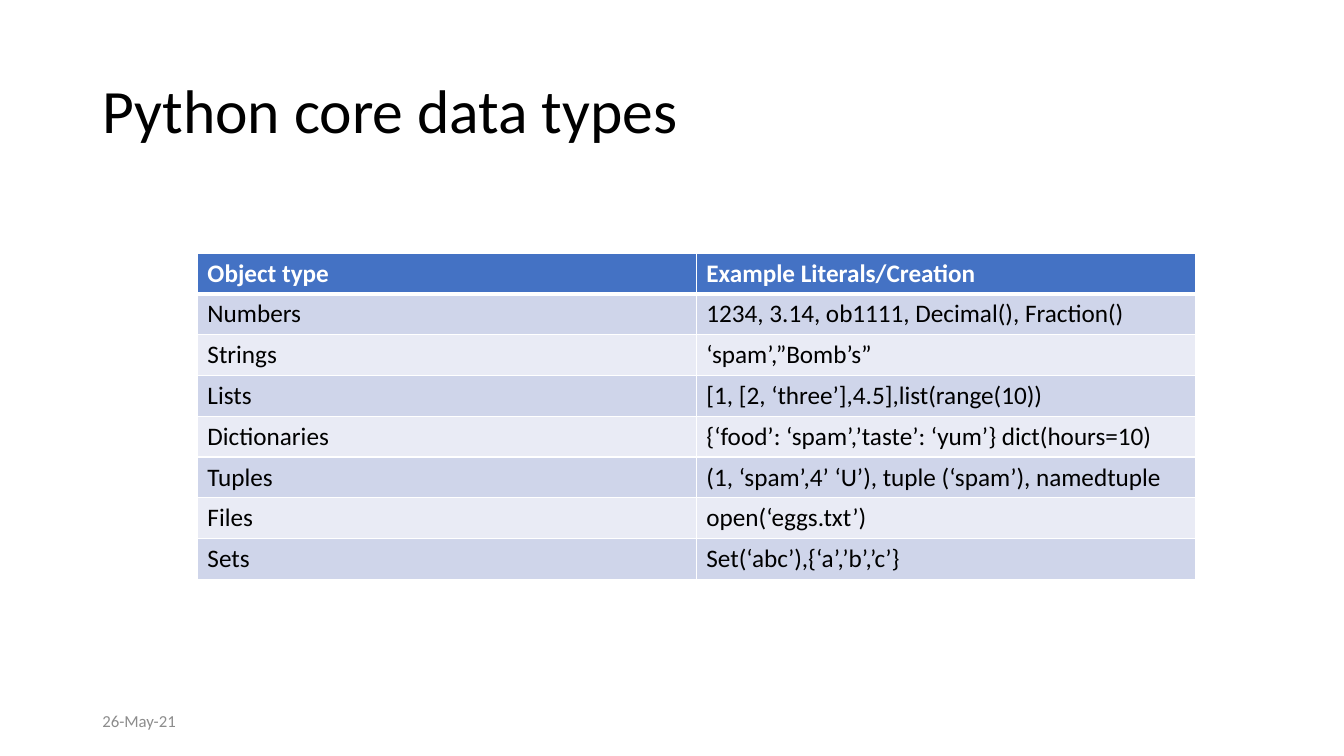
"""Build a slide that tabulates the core data types of Python."""
from dataclasses import dataclass

from lxml import etree
from pptx import Presentation
from pptx import util as u
from pptx.dml import color
from pptx.enum import text
from pptx.oxml import ns

UNIT = u.Inches(1) / 12


@dataclass(frozen=True)
class Theme:
    font: str = "Calibri"
    ink: str = "000000"
    white: str = "FFFFFF"
    gray: str = "8C8C8C"
    head: str = "4472C4"
    bands: tuple[str, str] = ("CFD5EA", "E9EBF5")
    title: int = 44
    body: int = 18
    small: int = 12
    thin: int = 1
    thick: int = 3


@dataclass(frozen=True)
class Box:
    col: float
    row: float
    wide: float
    high: float

    def place(self) -> tuple[int, ...]:
        return tuple(grid(n) for n in (self.col, self.row, self.wide, self.high))


@dataclass(frozen=True)
class Label:
    words: str
    box: Box
    size: int
    tint: str
    lead: float = 1.0


@dataclass(frozen=True)
class Kind:
    name: str
    sample: str


THEME = Theme()
LABELS = (
    Label("Python core data types", Box(11, 4.8, 138, 17.4), THEME.title, THEME.ink, 0.9),
    Label("26-May-21", Box(11, 83.4, 36, 4.8), THEME.small, THEME.gray),
)
TABLE = Box(23.5, 30.12, 118.8, 38.88)
KINDS = (
    Kind("Object type", "Example Literals/Creation"),
    Kind("Numbers", "1234, 3.14, ob1111, Decimal(), Fraction()"),
    Kind("Strings", "‘spam’,”Bomb’s”"),
    Kind("Lists", "[1, [2, ‘three’],4.5],list(range(10))"),
    Kind("Dictionaries", "{‘food’: ‘spam’,’taste’: ‘yum’} dict(hours=10)"),
    Kind("Tuples", "(1, ‘spam’,4’ ‘U’), tuple (‘spam’), namedtuple"),
    Kind("Files", "open(‘eggs.txt’)"),
    Kind("Sets", "Set(‘abc’),{‘a’,’b’,’c’}"),
)


def grid(count: float) -> int:
    return round(count * UNIT)


def style(frame, size: int, tint: str, bold: bool = False) -> None:
    for run in frame.paragraphs[0].runs:
        run.font.name = THEME.font
        run.font.size = u.Pt(size)
        run.font.bold = bold
        run.font.color.rgb = color.RGBColor.from_string(tint)


def write(slide, label: Label) -> None:
    frame = slide.shapes.add_textbox(*label.box.place()).text_frame
    frame.word_wrap = True
    frame.vertical_anchor = text.MSO_ANCHOR.MIDDLE
    frame.text = label.words
    frame.paragraphs[0].line_spacing = label.lead
    style(frame, label.size, label.tint)


def edge(cell, side: str, width: int) -> None:
    props = cell._tc.get_or_add_tcPr()
    line = etree.SubElement(props, ns.qn(f"a:ln{side}"), w=str(u.Pt(width)))
    fill = etree.SubElement(line, ns.qn("a:solidFill"))
    etree.SubElement(fill, ns.qn("a:srgbClr"), val=THEME.white)


def paint(cell, words: str, row: int) -> None:
    head = row == 0
    cell.text_frame.text = words
    style(cell.text_frame, THEME.body, THEME.white if head else THEME.ink, head)
    for side in "LRTB":
        thick = (side == "B" and head) or (side == "T" and row == 1)
        edge(cell, side, THEME.thick if thick else THEME.thin)
    cell.fill.solid()
    tint = THEME.head if head else THEME.bands[(row - 1) % 2]
    cell.fill.fore_color.rgb = color.RGBColor.from_string(tint)


def chart(slide, box: Box, kinds: tuple[Kind, ...]) -> None:
    table = slide.shapes.add_table(len(kinds), 2, *box.place()).table
    for row, kind in enumerate(kinds):
        table.rows[row].height = grid(box.high / len(kinds))
        for col, words in enumerate((kind.name, kind.sample)):
            paint(table.cell(row, col), words, row)


def main() -> None:
    deck = Presentation()
    deck.slide_width, deck.slide_height = grid(160), grid(90)
    slide = deck.slides.add_slide(deck.slide_layouts[6])
    for label in LABELS:
        write(slide, label)
    chart(slide, TABLE, KINDS)
    deck.save("out.pptx")


if __name__ == "__main__":
    main()
